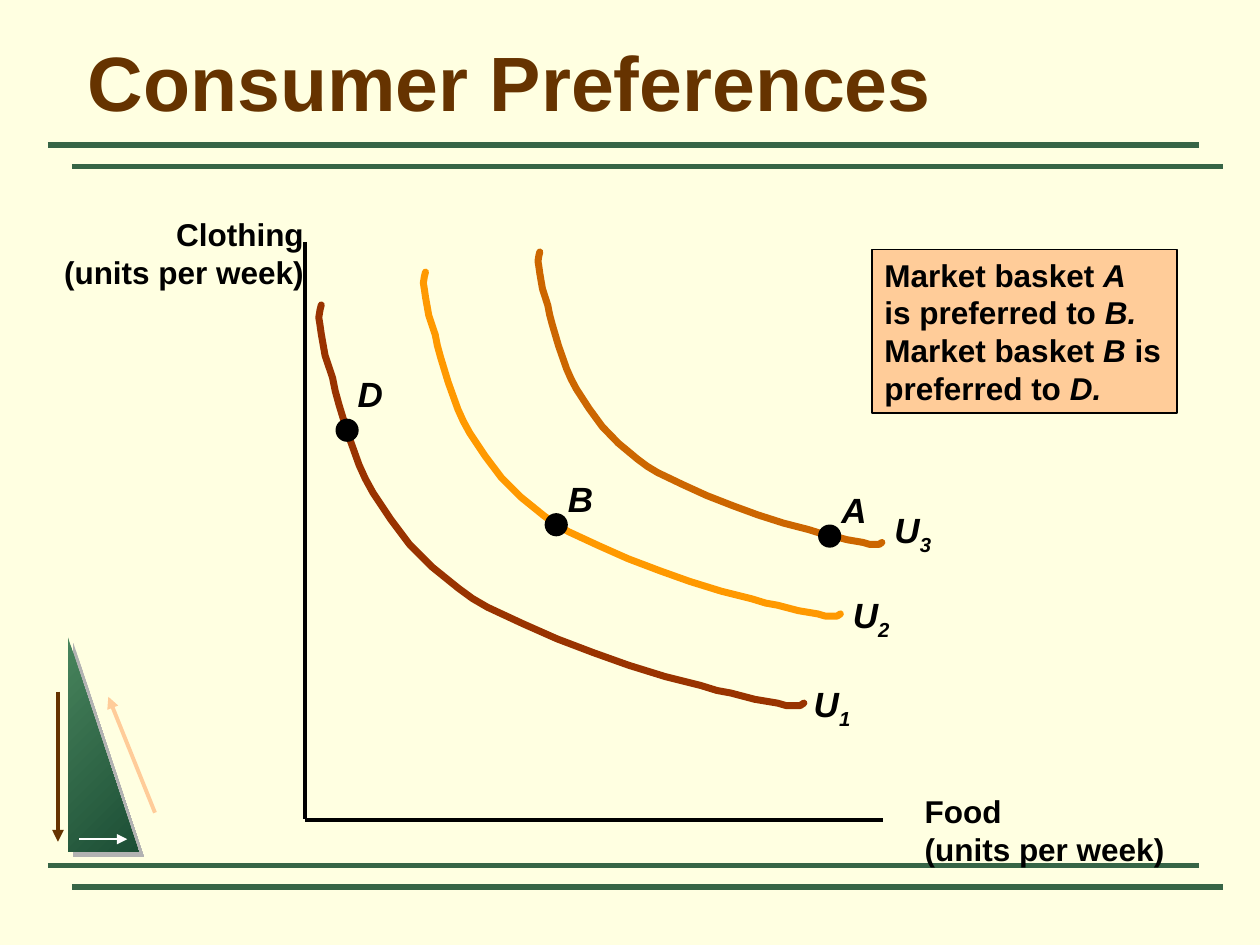
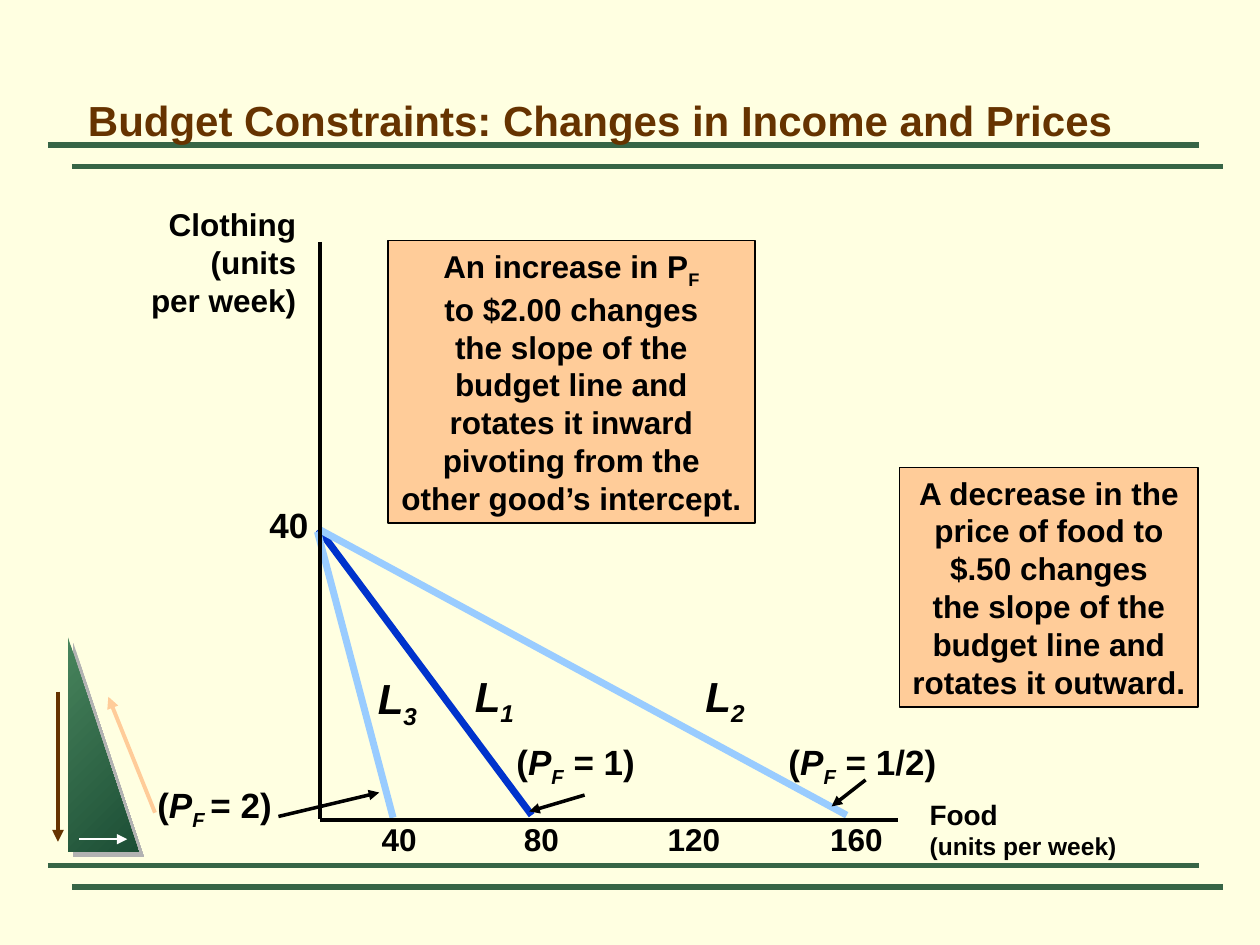
from lxml.etree import SubElement as Sub
from pptx import Presentation as Deck
from pptx.dml.color import RGBColor as RGB
from pptx.enum.shapes import MSO_CONNECTOR as LINK, MSO_SHAPE as FORM
from pptx.enum.text import MSO_ANCHOR as ANCHOR, MSO_AUTO_SIZE as FIT, PP_ALIGN as ALIGN
from pptx.oxml.ns import qn
from pptx.util import Inches, Pt

HUES = {
    "page": "FFFFE1", "band": "376546", "title": "663300", "ink": "000000",
    "note": "FFCC99", "white": "FFFFFF", "shade": "B2B2B2",
    "light": "48845C", "dark": "1C4E35",
    "rust": "993300", "amber": "FF9900", "ochre": "CC6600",
    "blue": "0033CC", "sky": "99CCFF",
}
FRAME = {
    "margin_left": Inches(0.1), "margin_right": Inches(0.1),
    "margin_top": Inches(0.05), "margin_bottom": Inches(0.05),
}
FONT = {"name": "Arial", "bold": True}
DOT = 0.17

# One indifference curve in inches from its left top corner; the others are scaled.
SPAN = (3.85, 3.18)
BEND = [
    (0.02, 0), (0.01, 0.04), (0, 0.1), (0.01, 0.16), (0.02, 0.23), (0.05, 0.4),
    (0.11, 0.58), (0.13, 0.68), (0.16, 0.79), (0.23, 1.02), (0.32, 1.27),
    (0.37, 1.38), (0.43, 1.49), (0.57, 1.7), (0.72, 1.9), (0.9, 2.08),
    (1.11, 2.25), (1.22, 2.33), (1.34, 2.4), (1.62, 2.53), (1.89, 2.65),
    (2.18, 2.76), (2.46, 2.86), (2.75, 2.95), (3.03, 3.02), (3.16, 3.06),
    (3.27, 3.08), (3.46, 3.13), (3.64, 3.16), (3.71, 3.18), (3.77, 3.18),
    (3.82, 3.18), (3.85, 3.16),
]


def hue(name):
    return RGB.from_string(HUES[name])


def put(item, values):
    for name, value in values.items():
        setattr(item, name, value)


def ink(line, color, width):
    line.color.rgb = hue(color)
    line.width = Pt(width)


def line(slide, start, end, color="ink", width=2, arrow=False):
    link = slide.shapes.add_connector(
        LINK.STRAIGHT, *(Inches(v) for v in (*start, *end)))
    ink(link.line, color, width)
    if arrow:
        Sub(link.line._get_or_add_ln(), qn("a:tailEnd"), type="triangle")
    Sub(link._element.spPr, qn("a:effectLst"))


def shape(slide, form, at, color, edge=True):
    item = slide.shapes.add_shape(form, *map(Inches, at))
    item.shadow.inherit = False
    if color:
        item.fill.solid()
        item.fill.fore_color.rgb = hue(color)
    if edge:
        ink(item.line, "ink", 1)
    else:
        item.line.fill.background()
    return item


def write(item, text, size, color="ink", align=ALIGN.LEFT, **frame):
    """Fill with text: *stars* mark italics, ~tildes~ subscripts; size may be per line."""
    box = item.text_frame
    put(box, FRAME | {"word_wrap": False, "auto_size": FIT.SHAPE_TO_FIT_TEXT} | frame)
    rows = text.split("\n")
    sizes = size if isinstance(size, tuple) else (size,) * len(rows)
    for i, (row, points) in enumerate(zip(rows, sizes)):
        para = box.add_paragraph() if i else box.paragraphs[0]
        para.alignment = align
        for j, part in enumerate(row.split("*")):
            for k, bit in enumerate(part.split("~")):
                if not bit:
                    continue
                run = para.add_run()
                run.text = bit
                put(run.font, FONT | {"size": Pt(points), "italic": j % 2 == 1})
                run.font.color.rgb = hue(color)
                if k % 2:
                    run._r.get_or_add_rPr().set("baseline", "-25000")


def label(slide, at, text, size, **style):
    write(slide.shapes.add_textbox(*map(Inches, at)), text, size, **style)


def note(slide, at, text, align=ALIGN.LEFT):
    box = shape(slide, FORM.RECTANGLE, at, "note")
    write(box, text, 18, align=align, vertical_anchor=ANCHOR.TOP)


def curve(slide, at, color):
    """Draw the indifference curve scaled to the box at."""
    left, top, wide, high = at
    spots = [(Inches(left + x * wide / SPAN[0]), Inches(top + y * high / SPAN[1]))
             for x, y in BEND]
    trace = slide.shapes.build_freeform(*spots[0])
    trace.add_line_segments(spots[1:], close=False)
    item = trace.convert_to_shape()
    item.shadow.inherit = False
    item.fill.background()
    ink(item.line, color, 4)
    stroke = item.line._get_or_add_ln()
    stroke.set("cap", "rnd")
    Sub(stroke, qn("a:round"))


def basket(slide, at, name, spot):
    shape(slide, FORM.OVAL, (*at, DOT, DOT), "ink")
    label(slide, (*spot, 0.4, 0.43), f"*{name}*", 20)


def emblem(slide):
    """Draw the green triangle with its three arrows."""
    wedge = shape(slide, FORM.RIGHT_TRIANGLE, (0.54, 5.06, 0.56, 1.7), None, edge=False)
    wedge.fill.gradient()
    wedge.fill.gradient_angle = 315
    for stop, color in zip(wedge.fill.gradient_stops, ("light", "dark")):
        stop.color.rgb = hue(color)
    glow = wedge._element.spPr.find(qn("a:effectLst"))
    cast = Sub(glow, qn("a:outerShdw"), dist=str(Pt(4.2)), dir="2700000",
               algn="ctr", rotWithShape="0")
    Sub(cast, qn("a:srgbClr"), val=HUES["shade"])
    line(slide, (0.46, 5.49), (0.46, 6.68), "title", 2.25, arrow=True)
    line(slide, (1.23, 6.45), (0.86, 5.53), "note", 2.25, arrow=True)
    line(slide, (0.63, 6.66), (1.01, 6.66), "white", 1.5, arrow=True)


def start(deck, title, size, top):
    """Add a slide with the shared bands, emblem and title."""
    slide = deck.slides.add_slide(deck.slide_layouts[6])
    for y in (1.15, 6.87):
        for step in range(2):
            x, level = 0.38 + 0.19 * step, y + 0.17 * step
            line(slide, (x, level), (x + 9.14, level), "band", 3)
    emblem(slide)
    label(slide, (0.6, top, 8.73, 0.85), title, size, color="title", word_wrap=True,
          auto_size=FIT.NONE, vertical_anchor=ANCHOR.BOTTOM)
    return slide


def axes(slide, left):
    line(slide, (left, 6.51), (left + 4.59, 6.51))
    line(slide, (left, 1.92), (left, 6.5))


def tastes(deck):
    slide = start(deck, "Consumer Preferences", 44, 0.21)
    axes(slide, 2.42)
    label(slide, (7.24, 6.24, 2.12, 0.7), "Food\n(units per week)", 18)
    label(slide, (0.39, 1.66, 2.12, 0.7), "Clothing\n(units per week)", 18,
          align=ALIGN.RIGHT)
    for rank, at, color, spot in (
        (1, (2.53, 2.42, 3.85, 3.18), "rust", (6.36, 5.37)),
        (2, (3.36, 2.16, 3.31, 2.73), "amber", (6.67, 4.66)),
        (3, (4.27, 2, 2.73, 2.32), "ochre", (7, 3.99)),
    ):
        curve(slide, at, color)
        label(slide, (*spot, 0.49, 0.48), f"*U~{rank}~*", 20)
    basket(slide, (6.5, 4.17), "A", (6.58, 3.83))
    basket(slide, (4.33, 4.08), "B", (4.41, 3.74))
    basket(slide, (2.67, 3.33), "D", (2.74, 2.91))
    note(slide, (6.92, 1.98, 2.42, 1.3),
         "Market basket *A*\nis preferred to *B.*\n"
         "Market basket *B* is\npreferred to *D.*")


def budget(deck):
    slide = start(deck, "Budget Constraints: Changes in Income and Prices", 24, 0.35)
    label(slide, (7.28, 6.28, 1.74, 0.6), "Food\n(units per week)", (16, 14))
    label(slide, (1.1, 1.58, 1.35, 1), "Clothing\n(units\nper week)", 18,
          align=ALIGN.RIGHT)
    for x, wide, tick in ((2.93, 0.48, 40), (4.06, 0.48, 80),
                          (5.2, 0.62, 120), (6.49, 0.62, 160)):
        label(slide, (x, 6.46, wide, 0.4), str(tick), 18)
    label(slide, (2.04, 3.95, 0.51, 0.43), "40", 20)
    for rank, top, end, color, spot in (
        (1, (2.53, 4.2), (4.22, 6.47), "blue", (3.67, 5.27)),
        (3, (2.52, 4.22), (3.12, 6.49), "sky", (2.9, 5.29)),
        (2, (2.53, 4.2), (6.72, 6.47), "sky", (5.5, 5.27)),
    ):
        line(slide, top, end, color, 4)
        label(slide, (*spot, 0.51, 0.55), f"*L~{rank}~*", 24)
    for at, price, tail, head in (
        ((4, 5.83, 1.14, 0.48), "(*P~F~* = 1)", (4.64, 6.31), (4.2, 6.44)),
        ((1.15, 6.17, 1.11, 0.48), "(*P~F ~*= 2)", (2.21, 6.48), (3.01, 6.29)),
        ((6.16, 5.83, 1.43, 0.48), "(*P~F~* = 1/2)", (6.87, 6.19), (6.6, 6.4)),
    ):
        label(slide, at, price, 20)
        line(slide, tail, head, arrow=True)
    note(slide, (3.08, 1.91, 2.91, 2.24),
         "An increase in P~F~\nto $2.00 changes\nthe slope of the\nbudget line and\n"
         "rotates it inward\npivoting from the\nother good’s intercept.", ALIGN.CENTER)
    note(slide, (7.14, 3.71, 2.37, 1.9),
         "A decrease in the\nprice of food to\n$.50 changes\nthe slope of the\n"
         "budget line and\nrotates it outward.", ALIGN.CENTER)
    axes(slide, 2.54)


def main():
    deck = Deck()
    put(deck, {"slide_width": Inches(10), "slide_height": Inches(7.5)})
    page = deck.slide_master.background.fill
    page.solid()
    page.fore_color.rgb = hue("page")
    tastes(deck)
    budget(deck)
    deck.save("out.pptx")


if __name__ == "__main__":
    main()
